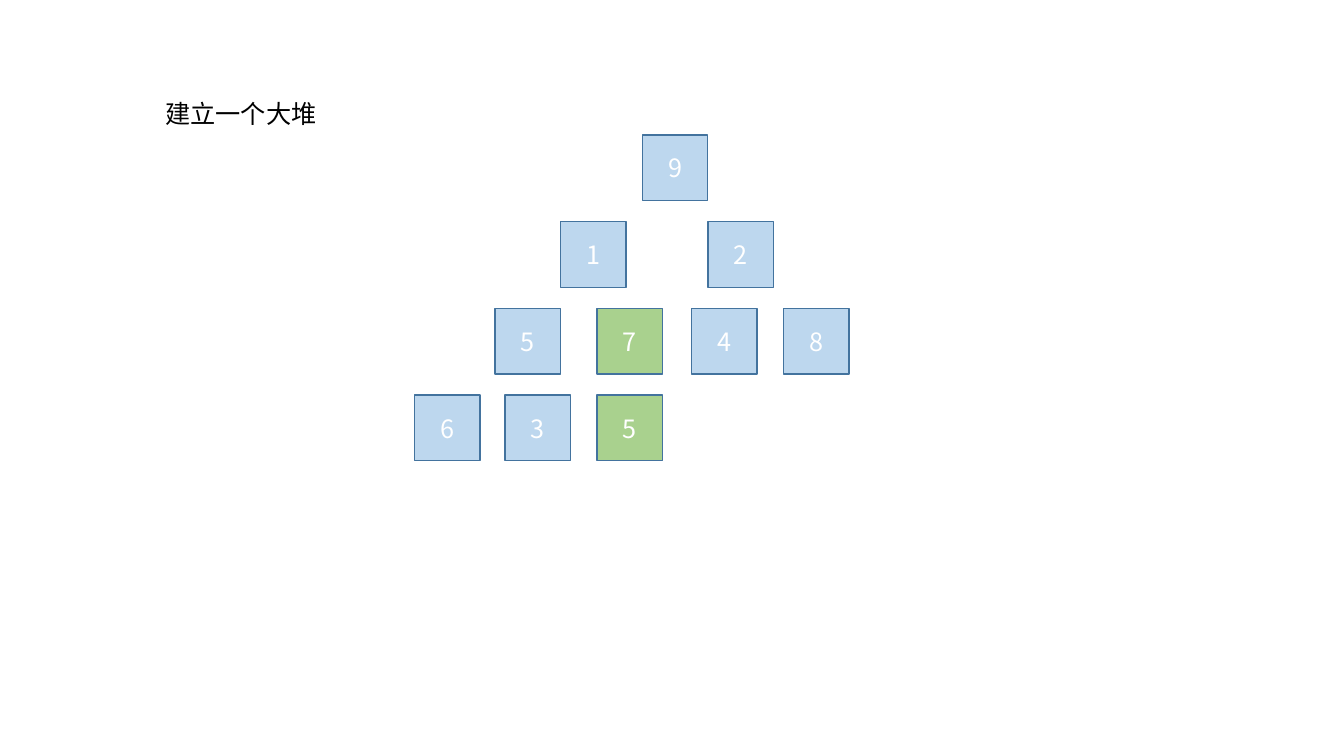
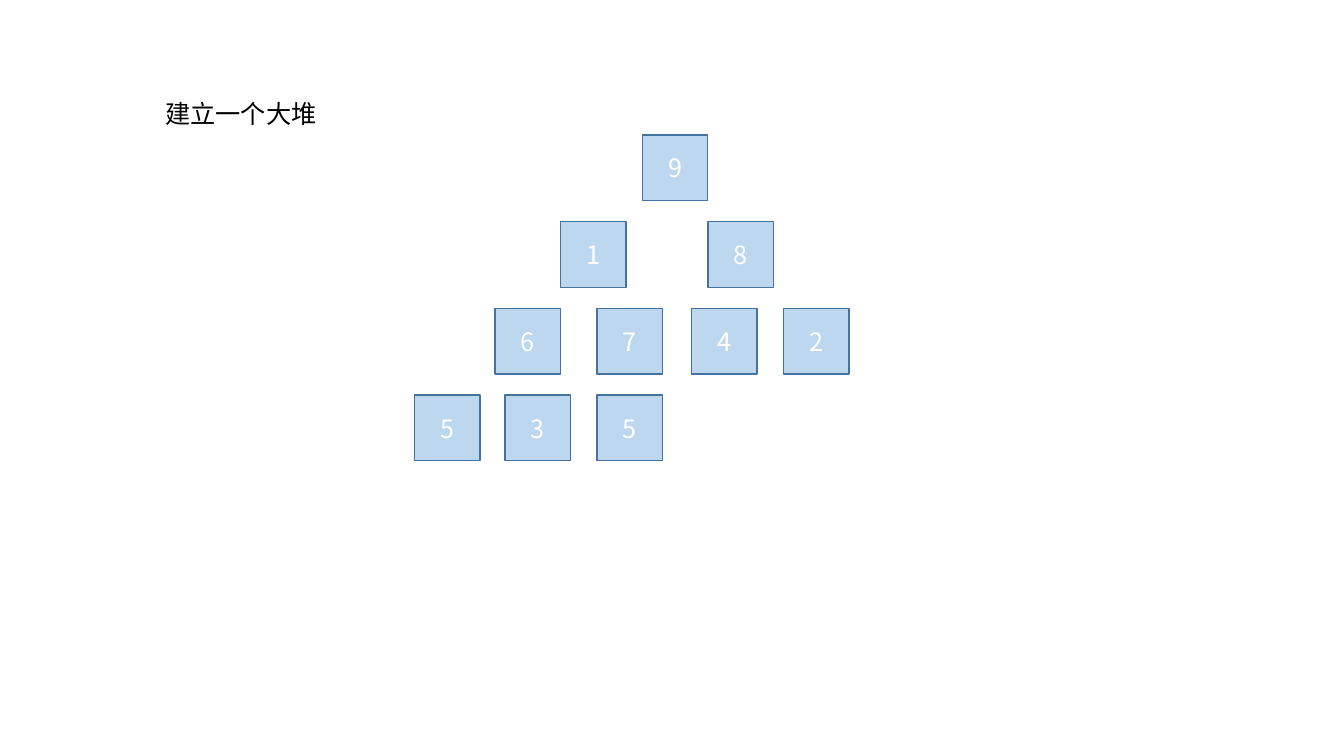
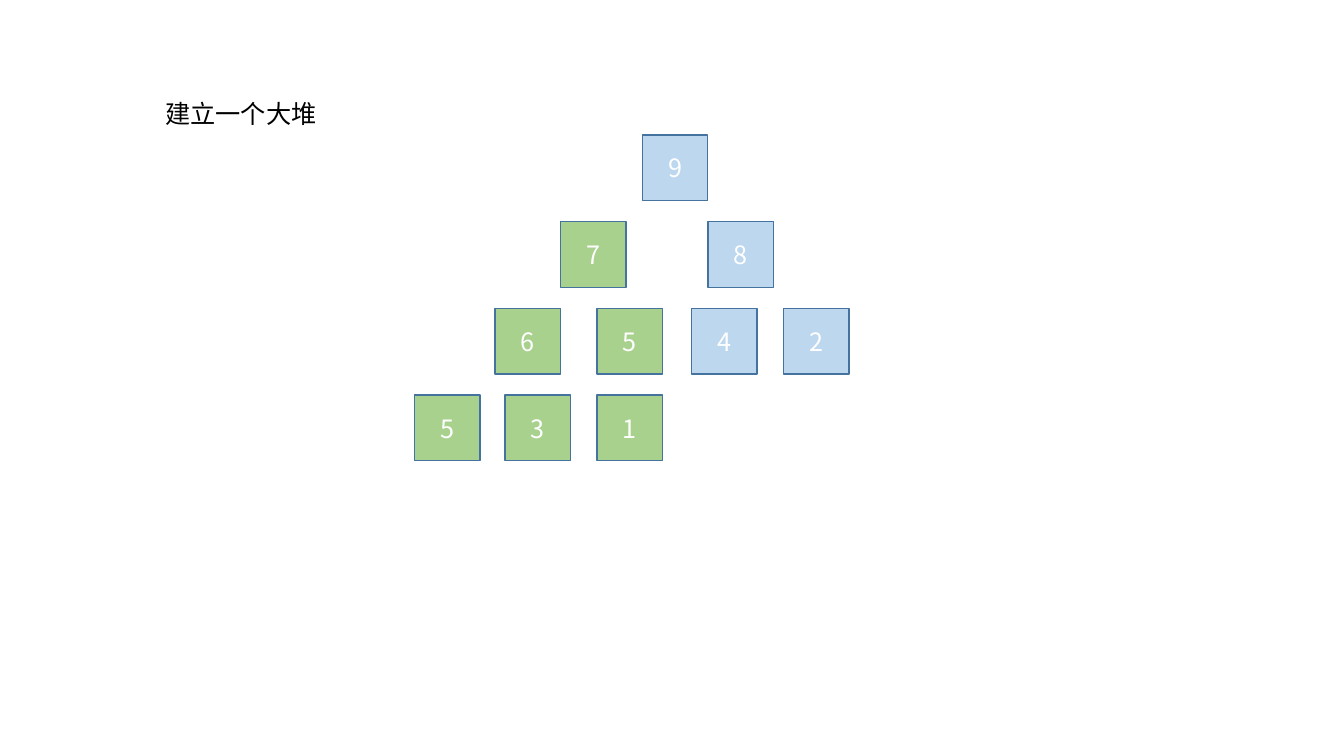
"""Three steps of building a max-heap, drawn as rows of number cells."""
from lxml import etree
from pptx import Presentation
from pptx.dml.color import RGBColor
from pptx.enum import shapes, text
from pptx.oxml import ns
from pptx.util import Inches, Pt

FONT = "Noto Sans CJK SC"
BLUE, GREEN, BORDER = "BDD7EE", "A9D18E", "43739E"
CELL, TOP, ROW_STEP = 0.65, 1.34, 0.86
ROW_LEFTS = [
    [6.37],
    [5.56, 7.02],
    [4.91, 5.92, 6.86, 7.77],
    [4.11, 5.01, 5.92],
]
STEPS = [
    (["9", "12", "5748", "635"], {(2, 1), (3, 2)}),
    (["9", "18", "6742", "535"], set()),
    (["9", "78", "6542", "531"], {(1, 0), (2, 0), (2, 1), (3, 0), (3, 1), (3, 2)}),
]


def color(value):
    return RGBColor.from_string(value)


def write(frame, words, font_color, alignment, anchor):
    frame.text = words
    frame.word_wrap = True
    frame.vertical_anchor = anchor
    paragraph = frame.paragraphs[0]
    paragraph.alignment = alignment
    run = paragraph.runs[0]
    run.font.size = Pt(18)
    run.font.name = FONT
    run.font.color.rgb = color(font_color)
    east_asian = etree.SubElement(run._r.get_or_add_rPr(), ns.qn("a:ea"))
    east_asian.set("typeface", FONT)


prs = Presentation()
prs.slide_width, prs.slide_height = Inches(13.33), Inches(7.5)
layout = prs.slide_layouts[5]
heading_area = layout.placeholders[0]
heading_area.left, heading_area.top = Inches(1.54), Inches(0.93)
heading_area.width, heading_area.height = Inches(2.4), Inches(0.4)

for rows, highlighted in STEPS:
    slide = prs.slides.add_slide(layout)
    heading = slide.shapes.title.text_frame
    write(heading, "建立一个大堆", "000000", text.PP_ALIGN.LEFT, text.MSO_ANCHOR.TOP)
    heading.auto_size = text.MSO_AUTO_SIZE.SHAPE_TO_FIT_TEXT

    for level, (lefts, digits) in enumerate(zip(ROW_LEFTS, rows)):
        for place, (left, digit) in enumerate(zip(lefts, digits)):
            node = slide.shapes.add_shape(
                shapes.MSO_SHAPE.RECTANGLE, Inches(left),
                Inches(TOP + level * ROW_STEP), Inches(CELL), Inches(CELL))
            node.shadow.inherit = False
            node.fill.solid()
            node.fill.fore_color.rgb = color(GREEN if (level, place) in highlighted else BLUE)
            node.line.color.rgb = color(BORDER)
            node.line.width = Pt(1)
            write(node.text_frame, digit, "FFFFFF", text.PP_ALIGN.CENTER, text.MSO_ANCHOR.MIDDLE)

prs.save("out.pptx")
